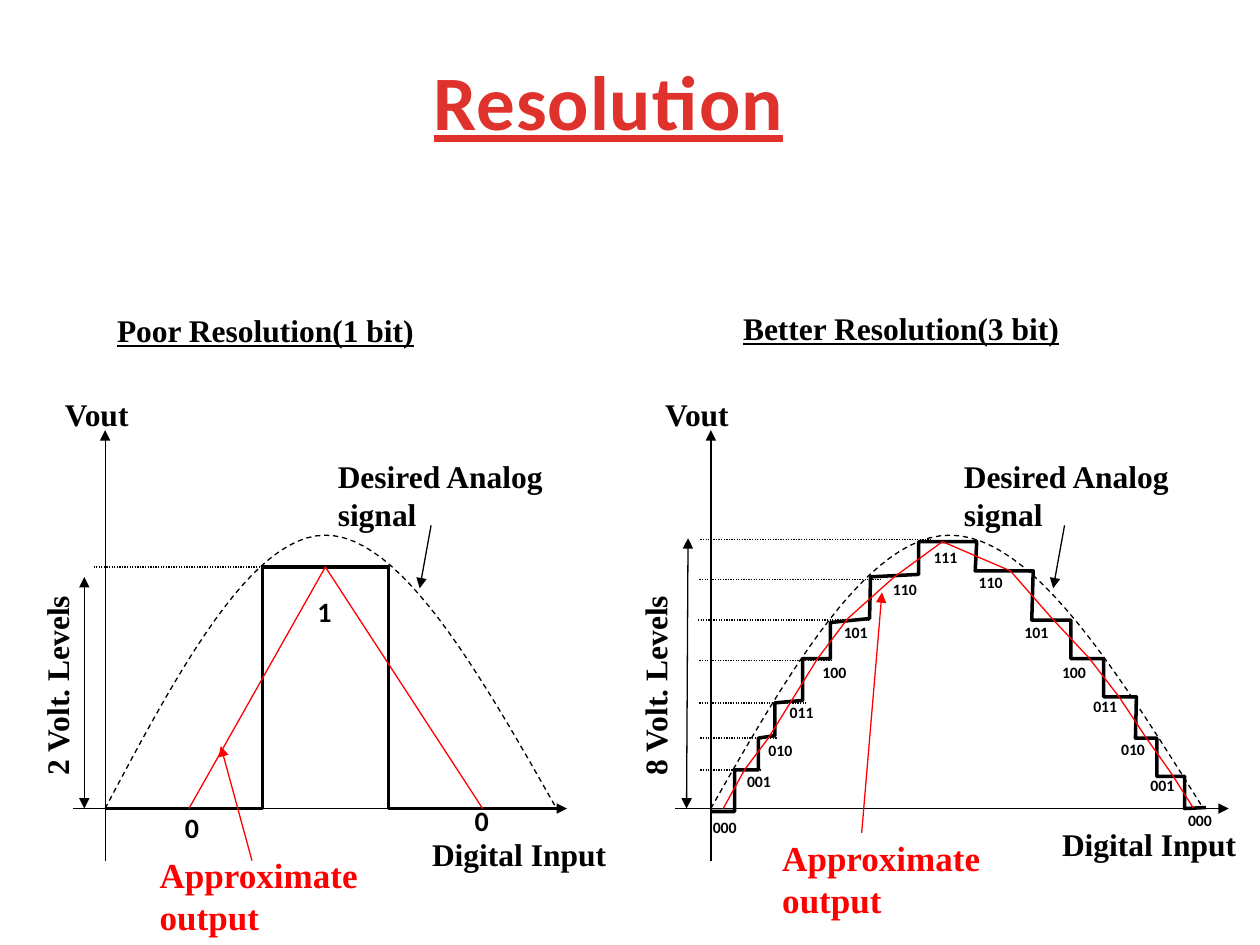
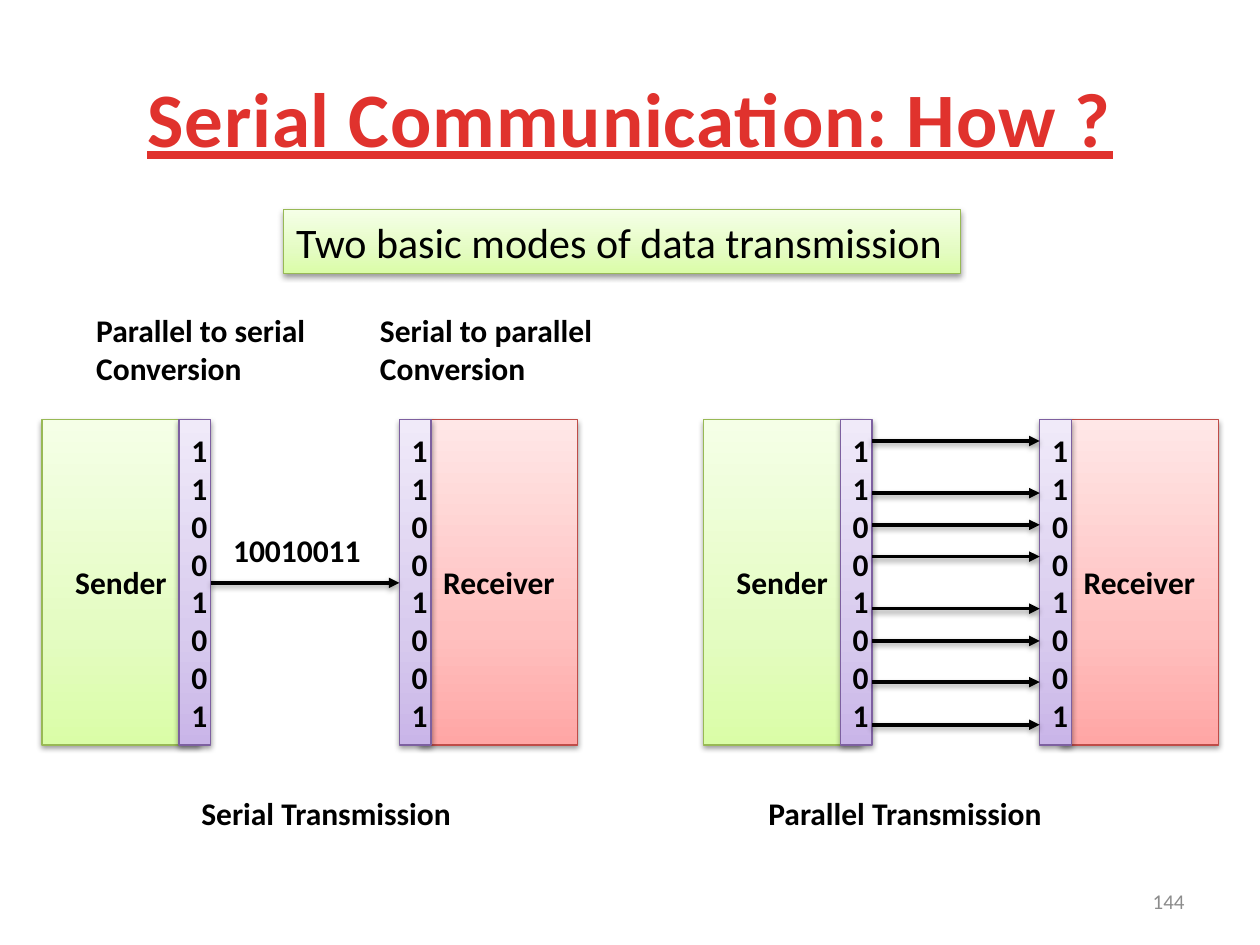
from pptx import Presentation
from pptx.dml.color import RGBColor
from pptx.enum.dml import MSO_LINE
from pptx.enum.shapes import MSO_CONNECTOR, MSO_SHAPE
from pptx.enum.text import MSO_ANCHOR, MSO_AUTO_SIZE, PP_ALIGN
from pptx.oxml import parse_xml
from pptx.oxml.ns import nsdecls, qn
from pptx.util import Cm, Pt

BLACK = RGBColor(0x00, 0x00, 0x00)
RED = RGBColor(0xFF, 0x00, 0x00)
TITLE_RED = RGBColor(0xE0, 0x32, 0x2D)
GREY = RGBColor(0x8C, 0x8C, 0x8C)
GREEN_EDGE = RGBColor(0x98, 0xB9, 0x55)
PURPLE_EDGE = RGBColor(0x7D, 0x60, 0xA0)
PINK_EDGE = RGBColor(0xBF, 0x4C, 0x48)


def rgbs(*codes):
    return [RGBColor.from_string(code) for code in codes]


# Edge colour and gradient colours, from bottom to top
GREEN = (GREEN_EDGE, rgbs("DAFDA7", "E4FCC2", "F5FFE7"))
PURPLE = (PURPLE_EDGE, rgbs("C9B5E8", "D8CBEE", "F0EAF9"))
PINK = (PINK_EDGE, rgbs("FFA6A5", "FFC0BF", "FFE7E7"))
STOPS = (0, 35, 100)


def font(name, size, color=BLACK, **extra):
    return {"name": name, "size": Pt(size), "color": color, **extra}


TITLE = font("Calibri", 44, TITLE_RED, bold=True, underline=True)
HEADING = font("Times New Roman", 18, bold=True, underline=True)
LABEL = font("Times New Roman", 18, bold=True)
CALLOUT = font("Times New Roman", 20, RED, bold=True)
BIT = font("Calibri", 16, bold=True)
CODE = font("Calibri", 9, bold=True)
BODY = font("Calibri", 18, bold=True)
MODES = font("Calibri", 24)
NUMBER = font("Calibri", 12, GREY)

# Heights shared by both plots
BASE, AXIS_TOP, AXIS_END = 16.3, 8.67, 17.36
PEAK, SHOULDER = 10.79, 13.55

# Boxes of the transmission diagrams
BOX_TOP, BOX_H, BOX_W, REGISTER_W = 8.46, 6.56, 3.18, 0.64
REGISTER_SHIFT, RECEIVER_OVERLAP = 2.76, 0.42


def write(tf, lines, fmt, align=PP_ALIGN.LEFT):
    for i, line in enumerate(lines):
        p = tf.paragraphs[0] if i == 0 else tf.add_paragraph()
        p.alignment = align
        r = p.add_run()
        r.text = line
        for key, value in fmt.items():
            if key == "color":
                r.font.color.rgb = value
            else:
                setattr(r.font, key, value)


def add_text(s, box, text, fmt, align=PP_ALIGN.LEFT, anchor=MSO_ANCHOR.TOP):
    tb = s.shapes.add_textbox(*map(Cm, box))
    tf = tb.text_frame
    tf.word_wrap = True
    tf.vertical_anchor = anchor
    write(tf, text.split("\n"), fmt, align)
    return tb


def add_title(s, left, top, text):
    tb = add_text(s, (left, top, 22.86, 3.18), text, TITLE,
                  PP_ALIGN.CENTER, MSO_ANCHOR.MIDDLE)
    tb.text_frame.paragraphs[0].runs[0].font._element.set("spc", "50")


def set_effects(sp, shadow):
    """Give the shape a soft shadow below it, or none at all."""
    outer = ('<a:outerShdw blurRad="40000" dist="20000" dir="5400000" '
             'rotWithShape="0"><a:srgbClr val="000000">'
             '<a:alpha val="38000"/></a:srgbClr></a:outerShdw>')
    sp._element.spPr.append(parse_xml(
        f'<a:effectLst {nsdecls("a")}>{outer if shadow else ""}</a:effectLst>'))


def set_line(sp, color, width, dash=None):
    sp.line.color.rgb = color
    sp.line.width = Pt(width)
    if dash:
        sp.line.dash_style = dash


def add_line(s, start, end, color=BLACK, width=0.75, dash=None,
             ends=(), shadow=False):
    """Draw a line; ends holds headEnd and tailEnd for its arrowheads."""
    cn = s.shapes.add_connector(MSO_CONNECTOR.STRAIGHT,
                                *map(Cm, (*start, *end)))
    set_line(cn, color, width, dash)
    ln = cn._element.spPr.find(qn("a:ln"))
    for tag in ends:
        ln.append(parse_xml(f'<a:{tag} {nsdecls("a")} type="triangle"/>'))
    set_effects(cn, shadow)


def add_arrow(s, start, end, **style):
    add_line(s, start, end, ends=("tailEnd",), **style)


def add_path(s, points, color=BLACK, width=0.75, dash=None):
    (x, y), *rest = [(Cm(px), Cm(py)) for px, py in points]
    fb = s.shapes.build_freeform(x, y)
    fb.add_line_segments(rest, close=False)
    sp = fb.convert_to_shape()
    sp.shadow.inherit = False
    sp.fill.background()
    set_line(sp, color, width, dash)


def bezier(a, b, c, d, steps=24):
    for i in range(steps + 1):
        t = i / steps
        u = 1 - t
        weights = (u ** 3, 3 * u * u * t, 3 * u * t * t, t ** 3)
        yield tuple(sum(w * v for w, v in zip(weights, axis))
                    for axis in zip(a, b, c, d))


def add_analog_curve(s, xs):
    ys = (BASE, SHOULDER, PEAK, PEAK, PEAK, SHOULDER, BASE)
    knots = list(zip(xs, ys))
    points = [*bezier(*knots[:4]), *list(bezier(*knots[3:]))[1:]]
    add_path(s, points, dash=MSO_LINE.DASH)


def add_plot(s, plot):
    x = plot["axis"]
    left, right = plot["base"]
    add_arrow(s, (x, AXIS_END), (x, AXIS_TOP))
    add_arrow(s, (left, BASE), (right, BASE))
    add_text(s, (plot["vout"], 7.83, 2.31, 1.02), "Vout", LABEL)
    add_analog_curve(s, plot["curve"])
    for y, start, end in plot["levels"]:
        add_line(s, (start, y), (end, y), dash=MSO_LINE.ROUND_DOT)
    add_path(s, plot["steps"], width=2)
    add_path(s, plot["output"], RED)

    add_text(s, plot["heading_box"], plot["heading"], HEADING)
    add_text(s, plot["desired_box"], "Desired Analog signal", LABEL)
    add_arrow(s, *plot["desired_arrow"])
    add_text(s, plot["output_box"], "Approximate output", CALLOUT)
    add_arrow(s, *plot["output_arrow"], color=RED)
    add_line(s, *plot["span"], ends=("headEnd", "tailEnd"))
    tb = add_text(s, (plot["span_label"], 12.19, 6.35, 1.02),
                  plot["span_text"], LABEL)
    tb.rotation = 270
    add_text(s, plot["input_box"], "Digital Input", LABEL)

    top_code = len(plot["codes"]) - 1
    bits, fmt, size = plot["code_style"]
    for i, place in enumerate(plot["codes"]):
        code = f"{min(i, top_code - i):0{bits}b}"
        add_text(s, (*place, *size), code, fmt)


ONE_BIT = {
    "heading": "Poor Resolution(1 bit)",
    "heading_box": (2.11, 6.15, 9.09, 1.02),
    "axis": 2.12, "base": (1.48, 11.43), "vout": 1.06,
    "curve": (2.12, 3.58, 5.06, 6.56, 8.08, 9.66, 11.22),
    "levels": [(11.43, 5.29, 1.9)],
    "steps": [(2.12, BASE), (5.29, BASE), (5.29, 11.43),
              (7.83, 11.43), (7.83, BASE), (11.22, BASE)],
    "output": [(3.81, BASE), (6.56, 11.43), (9.73, BASE)],
    "desired_box": (6.56, 9.09, 5.72, 1.8),
    "desired_arrow": ((8.69, 10.59), (8.46, 11.86)),
    "output_box": (2.97, 17.09, 5.28, 1.96),
    "output_arrow": ((5.08, 17.35), (4.45, 15.04)),
    "span": ((1.7, 11.63), (1.7, BASE)),
    "span_label": -2.03, "span_text": "2 Volt. Levels",
    "input_box": (8.46, 16.71, 4.24, 1.02),
    "code_style": (1, BIT, (1.9, 0.93)),
    "codes": [(3.48, 16.21), (6.15, 11.86), (9.32, 16.08)],
}

THREE_BIT = {
    "heading": "Better Resolution(3 bit)",
    "heading_box": (14.73, 6.1, 10.67, 1.88),
    "axis": 14.33, "base": (13.61, 24.77), "vout": 13.16,
    "curve": (14.33, 15.9, 17.49, 19.15, 20.83, 22.53, 24.26),
    "levels": [(15.52, 14.12, 15.32), (14.88, 14.12, 15.67),
               (14.17, 14.1, 16.26), (13.31, 14.1, 16.76),
               (12.5, 14.07, 17.53), (11.68, 14.1, 17.78),
               (10.87, 14.12, 18.75)],
    "steps": [(14.35, 16.36), (14.81, 16.36), (14.81, 15.52), (15.29, 15.52),
              (15.29, 14.88), (15.62, 14.83), (15.62, 14.17), (16.18, 14.12),
              (16.18, 13.28), (16.74, 13.28), (16.74, 12.55), (17.53, 12.47),
              (17.55, 11.63), (18.52, 11.58), (18.52, 10.92), (19.69, 10.92),
              (19.66, 11.51), (20.83, 11.51), (20.8, 12.5), (21.59, 12.5),
              (21.59, 13.28), (22.25, 13.28), (22.25, 14.05), (22.91, 14.05),
              (22.89, 14.88), (23.32, 14.88), (23.32, 15.65), (23.88, 15.65),
              (23.88, BASE), (24.31, 16.28)],
    "output": [(14.58, BASE), (15.01, 15.52), (15.49, 14.88), (15.93, 14.17),
               (16.48, 13.28), (17.09, 12.47), (18.03, 11.63), (19, 10.92),
               (20.37, 11.51), (21.21, 12.47), (21.95, 13.26), (22.56, 14.05),
               (23.11, 14.88), (23.62, 15.6), (24.05, 16.28)],
    "desired_box": (19.18, 9.09, 6.22, 1.8),
    "desired_arrow": ((21.46, 10.59), (21.23, 11.86)),
    "output_box": (15.52, 16.74, 5.77, 1.96),
    "output_arrow": ((17.37, 16.79), (17.78, 11.94)),
    "span": ((13.87, 10.85), (13.84, BASE)),
    "span_label": 10.03, "span_text": "8 Volt. Levels",
    "input_box": (21.16, 16.51, 4.65, 1.02),
    "code_style": (3, CODE, (1.12, 0.64)),
    "codes": [(14.12, 16.36), (14.81, 15.44), (15.24, 14.81), (15.67, 14.05),
              (16.33, 13.23), (16.76, 12.42), (17.75, 11.56), (18.57, 10.92),
              (19.48, 11.43), (20.4, 12.42), (21.16, 13.23), (21.79, 13.92),
              (22.35, 14.78), (22.94, 15.52), (23.7, 16.21)],
}


def add_box(s, box, lines, palette, fmt=BODY, align=PP_ALIGN.CENTER):
    """Add a rectangle with a gradient fill and a soft shadow."""
    edge, colors = palette
    sp = s.shapes.add_shape(MSO_SHAPE.RECTANGLE, *map(Cm, box))
    set_line(sp, edge, 0.75)
    sp.fill.gradient()
    stops = "".join(
        f'<a:gs pos="{pos * 1000}"><a:srgbClr val="{color}"/></a:gs>'
        for pos, color in zip(STOPS, colors))
    spPr = sp._element.spPr
    spPr.replace(spPr.find(qn("a:gradFill")), parse_xml(
        f'<a:gradFill {nsdecls("a")} rotWithShape="1"><a:gsLst>{stops}'
        '</a:gsLst><a:lin ang="16200000" scaled="0"/></a:gradFill>'))
    set_effects(sp, shadow=True)
    sp.text_frame.word_wrap = True
    sp.text_frame.vertical_anchor = MSO_ANCHOR.MIDDLE
    write(sp.text_frame, lines, fmt, align)
    return sp


def add_link(s, sender, receiver, wires):
    """Draw sender and receiver with their registers and the wires between."""
    out_register = sender + REGISTER_SHIFT
    in_register = receiver - RECEIVER_OVERLAP
    for left, width, lines, palette in (
            (sender, BOX_W, ["Sender"], GREEN),
            (out_register, REGISTER_W, ["1", "1", "001001"], PURPLE),
            (receiver, BOX_W, ["Receiver"], PINK),
            (in_register, REGISTER_W, ["1", "1", "001001"], PURPLE)):
        add_box(s, (left, BOX_TOP, width, BOX_H), lines, palette)
    for y in wires:
        add_arrow(s, (out_register + REGISTER_W, y), (in_register, y),
                  width=2, shadow=True)


def resolution_slide(s):
    for plot in (ONE_BIT, THREE_BIT):
        add_plot(s, plot)
    add_title(s, 0.84, 0.43, "Resolution")


def serial_slide(s):
    add_title(s, 1.27, 0.76, "Serial Communication: How ?")
    sp = add_box(s, (5.72, 4.23, 13.64, 1.28),
                 ["Two basic modes of data transmission"],
                 GREEN, MODES, PP_ALIGN.LEFT)
    sp.text_frame.word_wrap = False
    sp.text_frame.auto_size = MSO_AUTO_SIZE.SHAPE_TO_FIT_TEXT
    add_link(s, 0.85, 8.47, [11.75])
    add_link(s, 14.18, 21.38,
             [8.89, 9.94, 10.58, 11.22, 12.27, 12.92, 13.75, 14.61])
    for box, text in (
            ((4.45, 10.58, 4.01, 1.02), "10010011"),
            ((1.69, 6.14, 4.87, 1.8), "Parallel to serial\nConversion"),
            ((7.41, 6.14, 4.87, 1.8), "Serial to parallel\nConversion"),
            ((3.81, 15.88, 6.99, 1.06), "Serial Transmission"),
            ((15.24, 15.88, 6.99, 1.06), "Parallel Transmission")):
        add_text(s, box, text, BODY)
    add_text(s, (18.2, 17.66, 5.93, 1.02), "144", NUMBER,
             PP_ALIGN.RIGHT, MSO_ANCHOR.MIDDLE)


def main():
    prs = Presentation()
    prs.slide_width, prs.slide_height = Cm(25.4), Cm(19.05)
    for build in (resolution_slide, serial_slide):
        build(prs.slides.add_slide(prs.slide_layouts[6]))
    prs.save("out.pptx")


if __name__ == "__main__":
    main()
